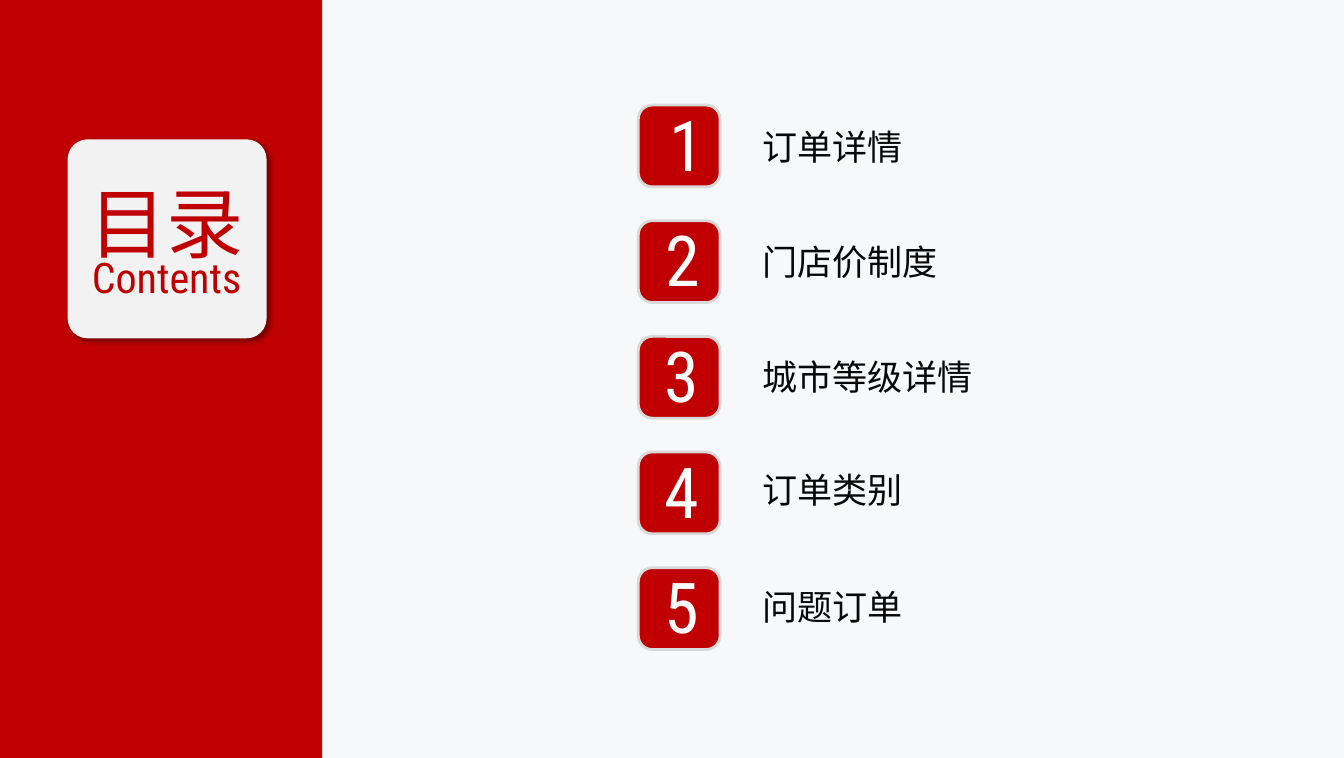
from dataclasses import dataclass

import lxml.etree
import pptx
import pptx.dml.color
import pptx.enum.shapes
import pptx.enum.text
import pptx.oxml.ns
import pptx.util

Inches = pptx.util.Inches
Shapes = pptx.enum.shapes.MSO_SHAPE
Align = pptx.enum.text.PP_ALIGN


@dataclass(frozen=True)
class Theme:
    """Colours, fonts and type sizes of the slide."""
    background: str = "F7F8FA"
    red: str = "C00000"
    card: str = "F2F2F2"
    outline: str = "D9D9D9"
    label: str = "080808"
    digit: str = "FEFEFE"
    shadow: str = "000000"
    chinese: str = "Noto Sans CJK SC"
    latin: str = "Roboto Condensed"
    label_size: int = 25
    digit_size: int = 50
    title_size: int = 55
    subtitle_size: int = 30


@dataclass(frozen=True)
class Frame:
    """A rectangle on the slide, in inches."""
    left: float
    top: float
    width: float
    height: float

    def lengths(self) -> list:
        """Return the four sides as lengths."""
        return [Inches(side) for side in (self.left, self.top, self.width, self.height)]


@dataclass(frozen=True)
class Style:
    """The look of one line of text."""
    font: str
    size: int
    colour: str
    align: Align = Align.LEFT
    wrap: bool = True


@dataclass(frozen=True)
class Entry:
    """One line of the contents list."""
    label: str
    label_top: float
    label_width: float
    digit_left: float
    digit_width: float


THEME = Theme()
LABEL = Style(THEME.chinese, THEME.label_size, THEME.label, wrap=False)
DIGIT = Style(THEME.latin, THEME.digit_size, THEME.digit)
TITLE = Style(THEME.chinese, THEME.title_size, THEME.red, Align.CENTER)
SUBTITLE = Style(THEME.latin, THEME.subtitle_size, THEME.red, Align.CENTER)

ENTRIES = (
    Entry("订单详情", 1.24, 1.39, 6.63, 0.23),
    Entry("门店价制度", 2.38, 1.74, 6.59, 0.3),
    Entry("城市等级详情", 3.52, 2.08, 6.58, 0.32),
    Entry("订单类别", 4.64, 1.39, 6.58, 0.3),
    Entry("问题订单", 5.8, 1.39, 6.58, 0.32),
)
CENTIMETRES_PER_INCH = 2.54
PAGE_WIDTH = 33.8 / CENTIMETRES_PER_INCH
PAGE_HEIGHT = 19.06 / CENTIMETRES_PER_INCH
TILE_LEFT, TILE_SIDE, TILE_CORNER = 6.32, 0.81, 0.17
FIRST_TILE_TOP, LAST_TILE_TOP = 1.04, 5.62
TILE_PITCH = (LAST_TILE_TOP - FIRST_TILE_TOP) / (len(ENTRIES) - 1)
DIGIT_RISE = 0.04
LABEL_LEFT = 7.55


def rgb(colour: str) -> pptx.dml.color.RGBColor:
    """Return a colour object for a hex code."""
    return pptx.dml.color.RGBColor.from_string(colour)


def apply(target: object, values: dict) -> None:
    """Set every attribute named in values."""
    for name, value in values.items():
        setattr(target, name, value)


def add_text(page, frame: Frame, text: str, style: Style) -> None:
    """Add one line of text without margins."""
    box = page.shapes.add_textbox(*frame.lengths())
    apply(box.text_frame, {
        "margin_left": 0, "margin_top": 0, "margin_right": 0, "margin_bottom": 0,
        "word_wrap": style.wrap,
        "auto_size": pptx.enum.text.MSO_AUTO_SIZE.SHAPE_TO_FIT_TEXT,
    })
    para = box.text_frame.paragraphs[0]
    para.alignment = style.align
    span = para.add_run()
    span.text = text
    apply(span.font, {"name": style.font, "size": pptx.util.Pt(style.size)})
    span.font.color.rgb = rgb(style.colour)
    east_asian = lxml.etree.SubElement(span.font._element, pptx.oxml.ns.qn("a:ea"))
    east_asian.set("typeface", style.font)


def add_panel(page, frame: Frame, fill: str, corner: float = 0, outline: str = ""):
    """Add a filled rectangle, rounded when a corner is given."""
    kind = Shapes.ROUNDED_RECTANGLE if corner else Shapes.RECTANGLE
    panel = page.shapes.add_shape(kind, *frame.lengths())
    panel.shadow.inherit = False
    panel.fill.solid()
    panel.fill.fore_color.rgb = rgb(fill)
    if corner:
        panel.adjustments[0] = corner
    if outline:
        panel.line.color.rgb = rgb(outline)
        panel.line.width = pptx.util.Pt(2)
    else:
        panel.line.fill.background()
    return panel


def add_shadow(panel) -> None:
    """Give a panel a soft shadow to the lower right."""
    effects = panel._element.spPr.find(pptx.oxml.ns.qn("a:effectLst"))
    shadow = lxml.etree.SubElement(effects, pptx.oxml.ns.qn("a:outerShdw"))
    settings = {"blurRad": pptx.util.Pt(4), "dist": pptx.util.Pt(3),
                "dir": 45 * 60000, "algn": "tl", "rotWithShape": 0}
    for name, value in settings.items():
        shadow.set(name, str(value))
    colour = lxml.etree.SubElement(shadow, pptx.oxml.ns.qn("a:srgbClr"), val=THEME.shadow)
    lxml.etree.SubElement(colour, pptx.oxml.ns.qn("a:alpha"), val="40000")


def add_entry(page, index: int, entry: Entry) -> None:
    """Add a numbered tile and its label."""
    top = FIRST_TILE_TOP + index * TILE_PITCH
    tile = Frame(TILE_LEFT, top, TILE_SIDE, TILE_SIDE)
    add_panel(page, tile, THEME.red, TILE_CORNER, THEME.outline)
    digit = Frame(entry.digit_left, top - DIGIT_RISE, entry.digit_width, 0.84)
    add_text(page, digit, str(index + 1), DIGIT)
    label = Frame(LABEL_LEFT, entry.label_top, entry.label_width, 0.42)
    add_text(page, label, entry.label, LABEL)


def main() -> None:
    """Build the contents slide and save it."""
    deck = pptx.Presentation()
    apply(deck, {"slide_width": Inches(PAGE_WIDTH), "slide_height": Inches(PAGE_HEIGHT)})
    page = deck.slides.add_slide(deck.slide_layouts[6])
    page.background.fill.solid()
    page.background.fill.fore_color.rgb = rgb(THEME.background)

    add_panel(page, Frame(0, 0, 3.19, PAGE_HEIGHT), THEME.red)
    for index, entry in enumerate(ENTRIES):
        add_entry(page, index, entry)
    add_shadow(add_panel(page, Frame(0.67, 1.38, 1.97, 1.97), THEME.card, 0.1))
    add_text(page, Frame(0.84, 1.74, 1.61, 0.93), "目录", TITLE)
    add_text(page, Frame(0.82, 2.49, 1.66, 0.5), "Contents", SUBTITLE)
    deck.save("out.pptx")


if __name__ == "__main__":
    main()
